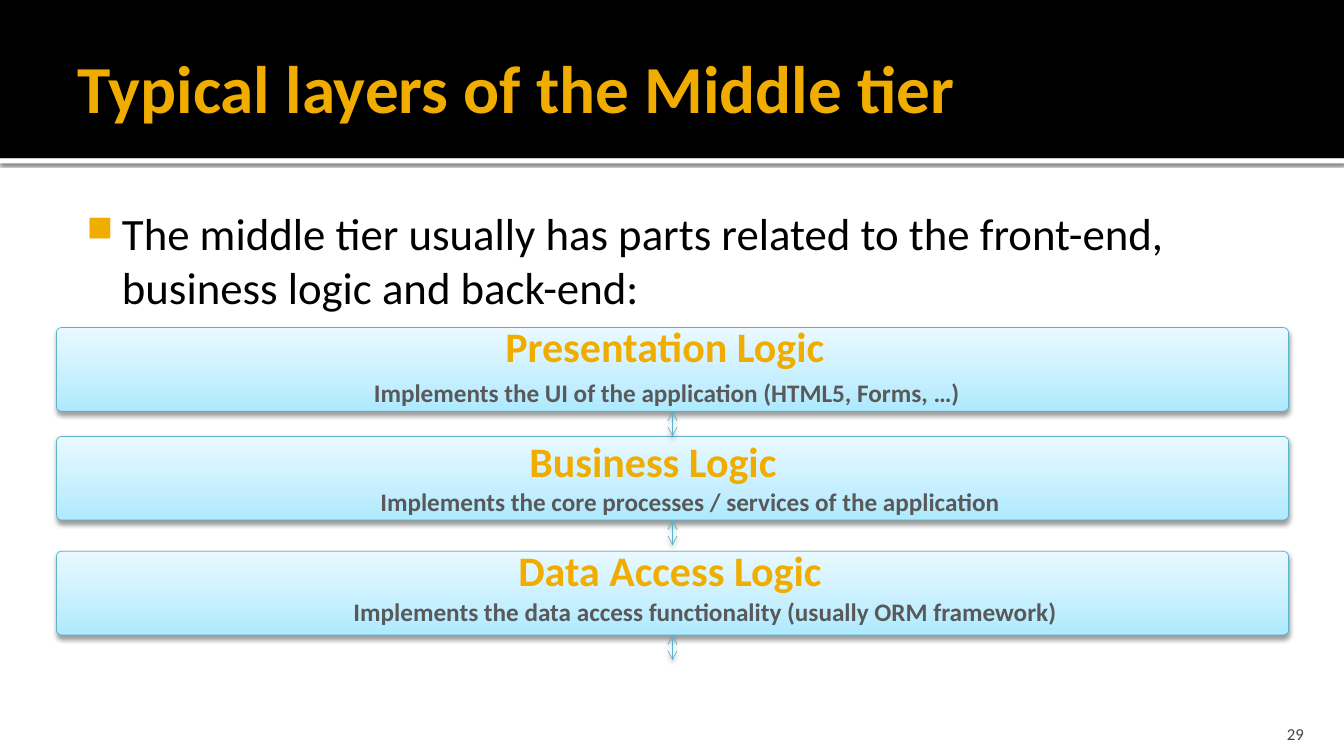
import dataclasses

import pptx
import pptx.dml.color
import pptx.enum.shapes
import pptx.enum.text
import pptx.oxml
import pptx.oxml.ns
import pptx.util
from pptx.util import Inches

Align = pptx.enum.text.PP_ALIGN
Anchor = pptx.enum.text.MSO_ANCHOR
Shape = pptx.enum.shapes.MSO_SHAPE


@dataclasses.dataclass(frozen=True)
class Theme:
    font: str = "Calibri"
    black: str = "000000"
    white: str = "FFFFFF"
    gold: str = "F0AD00"
    gray: str = "595959"
    number: str = "454545"
    edge: str = "5BB3CA"
    gradient: tuple = ((0, "ADE9FF"), (35, "C5EFFF"), (100, "E9F9FF"))
    title_size: int = 48
    body_size: int = 32
    heading_size: int = 30
    detail_size: int = 18
    number_size: int = 12


T = Theme()
LAYER_LEFT, LAYER_WIDTH, LAYER_HEIGHT = 0.56, 12.22, 0.83
ARROW_X, ARROW_LENGTH = 6.67, 0.25
LABEL_INSETS = (0.14, 0.07, 0.14, 0.07)
LAYERS = [
    dict(top=3.25,
         heading=("Presentation Logic", (4.75, 3.11, 3.69, 0.64), Align.CENTER),
         detail=("Implements the UI of the application (HTML5, Forms, …)",
                 (3.46, 3.67, 6.31, 0.44))),
    dict(top=4.33,
         heading=("Business Logic", (5.11, 4.25, 3.39, 0.64), Align.LEFT),
         detail=("Implements the core processes / services of the application",
                 (3.53, 4.75, 6.63, 0.44))),
    dict(top=5.47,
         heading=("Data Access Logic", (5, 5.33, 3.51, 0.64), Align.LEFT),
         detail=("Implements the data access functionality (usually ORM framework)",
                 (3.22, 5.85, 7.55, 0.44))),
]


def rgb(color):
    return pptx.dml.color.RGBColor.from_string(color)


def xml(tag, inner="", attrs=""):
    ns = pptx.oxml.ns.nsdecls("a")
    return pptx.oxml.parse_xml(f"<a:{tag} {ns} {attrs}>{inner}</a:{tag}>")


def add_shadow(shape, alpha, blur, dist):
    spPr = shape.element.spPr
    for old in spPr.findall(pptx.oxml.ns.qn("a:effectLst")):
        spPr.remove(old)
    spPr.append(xml("effectLst",
                    f'<a:outerShdw blurRad="{pptx.util.Pt(blur)}" dist="{pptx.util.Pt(dist)}" '
                    f'dir="5400000" rotWithShape="0"><a:srgbClr val="{T.black}">'
                    f'<a:alpha val="{alpha * 1000}"/></a:srgbClr></a:outerShdw>'))


def write_text(shape, text, size, color, bold=False, align=Align.LEFT,
               anchor=Anchor.TOP, insets=(0.1, 0.05, 0.1, 0.05)):
    tf = shape.text_frame
    tf.word_wrap = True
    tf.auto_size = pptx.enum.text.MSO_AUTO_SIZE.NONE
    tf.vertical_anchor = anchor
    tf.margin_left, tf.margin_top, tf.margin_right, tf.margin_bottom = map(Inches, insets)
    p = tf.paragraphs[0]
    p.alignment = align
    r = p.add_run()
    r.text = text
    r.font.name = T.font
    r.font.size = pptx.util.Pt(size)
    r.font.bold = bold
    r.font.color.rgb = rgb(color)
    return p


def add_label(s, box, text, **fmt):
    return write_text(s.shapes.add_textbox(*map(Inches, box)), text, **fmt)


def add_band(s, top, height, color):
    band = s.shapes.add_shape(Shape.RECTANGLE, 0, Inches(top), Inches(13.33), Inches(height))
    band.shadow.inherit = False
    band.fill.solid()
    band.fill.fore_color.rgb = rgb(color)
    band.line.fill.background()
    return band


def set_title(s, text):
    title = s.shapes.title
    title.left, title.top, title.width, title.height = map(Inches, (0.67, 0.17, 9.17, 1.37))
    write_text(title, text, size=T.title_size, color=T.gold, bold=True,
               anchor=Anchor.MIDDLE, insets=(0.1, 0.05, 0.05, 0.05))
    title.element.getparent().append(title.element)


def add_bullet(p):
    pPr = p._p.get_or_add_pPr()
    pPr.set("marL", str(Inches(0.48)))
    pPr.set("indent", str(Inches(-0.35)))
    pPr.append(xml("buClr", f'<a:srgbClr val="{T.gold}"/>'))
    pPr.append(xml("buSzPct", attrs='val="80000"'))
    pPr.append(xml("buChar", attrs='char="■"'))


def style_edge(shape):
    shape.line.color.rgb = rgb(T.edge)
    shape.line.width = pptx.util.Pt(0.5)
    add_shadow(shape, 38, 3.5, 2)


def add_layer(s, top):
    box = s.shapes.add_shape(Shape.ROUNDED_RECTANGLE, Inches(LAYER_LEFT), Inches(top),
                             Inches(LAYER_WIDTH), Inches(LAYER_HEIGHT))
    box.adjustments[0] = 0.06
    stops = "".join(f'<a:gs pos="{pos * 1000}"><a:srgbClr val="{color}"/></a:gs>'
                    for pos, color in T.gradient)
    box.element.spPr.append(
        xml("gradFill", f'<a:gsLst>{stops}</a:gsLst><a:lin ang="16200000" scaled="0"/>',
            'rotWithShape="1"'))
    style_edge(box)
    return box


def add_arrow(s, upper, lower=None):
    start = upper.top + upper.height
    end = start + Inches(ARROW_LENGTH)
    arrow = s.shapes.add_connector(pptx.enum.shapes.MSO_CONNECTOR.STRAIGHT,
                                   Inches(ARROW_X), start, Inches(ARROW_X), end)
    arrow.begin_connect(upper, 2)
    if lower is not None and abs(lower.top - end) < Inches(0.02):
        arrow.end_connect(lower, 0)
    style_edge(arrow)
    ln = arrow.line._get_or_add_ln()
    for tag in ("headEnd", "tailEnd"):
        ln.append(xml(tag, attrs='type="arrow"'))


def main():
    prs = pptx.Presentation()
    prs.slide_width, prs.slide_height = Inches(13.33), Inches(7.5)
    s = prs.slides.add_slide(prs.slide_layouts[5])

    add_shadow(add_band(s, 1.57, 0.05, T.white), 60, 2.5, 0.8)
    add_band(s, 0, 1.57, T.black)
    set_title(s, "Typical layers of the Middle tier")
    p = add_label(s, (0.67, 1.94, 12, 5.06),
                  "The middle tier usually has parts related to the front-end, "
                  "business logic and back-end:",
                  size=T.body_size, color=T.black, insets=(0.06, 0.1, 0.1, 0.05))
    add_bullet(p)

    boxes = [add_layer(s, layer["top"]) for layer in LAYERS]
    for upper, lower in zip(boxes, boxes[1:] + [None]):
        add_arrow(s, upper, lower)
    for layer in LAYERS:
        text, box, align = layer["heading"]
        add_label(s, box, text, size=T.heading_size, color=T.gold, bold=True,
                  align=align, insets=LABEL_INSETS)
        text, box = layer["detail"]
        add_label(s, box, text, size=T.detail_size, color=T.gray, bold=True,
                  align=Align.CENTER, insets=LABEL_INSETS)

    add_label(s, (11.96, 7.08, 1.07, 0.3), "29", size=T.number_size, color=T.number,
              align=Align.RIGHT, anchor=Anchor.BOTTOM, insets=(0.1, 0.05, 0.1, 0))
    prs.save("out.pptx")


if __name__ == "__main__":
    main()
